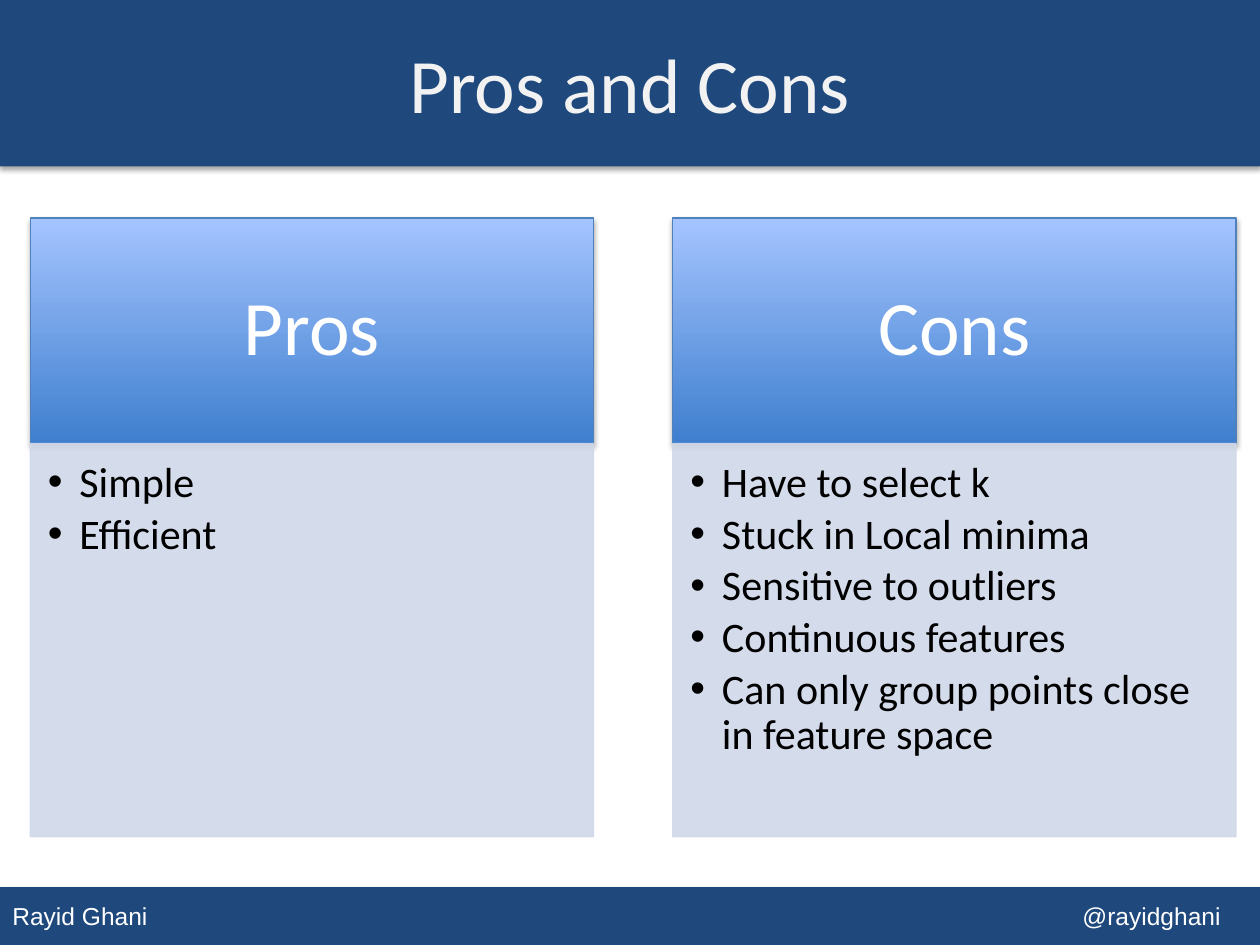
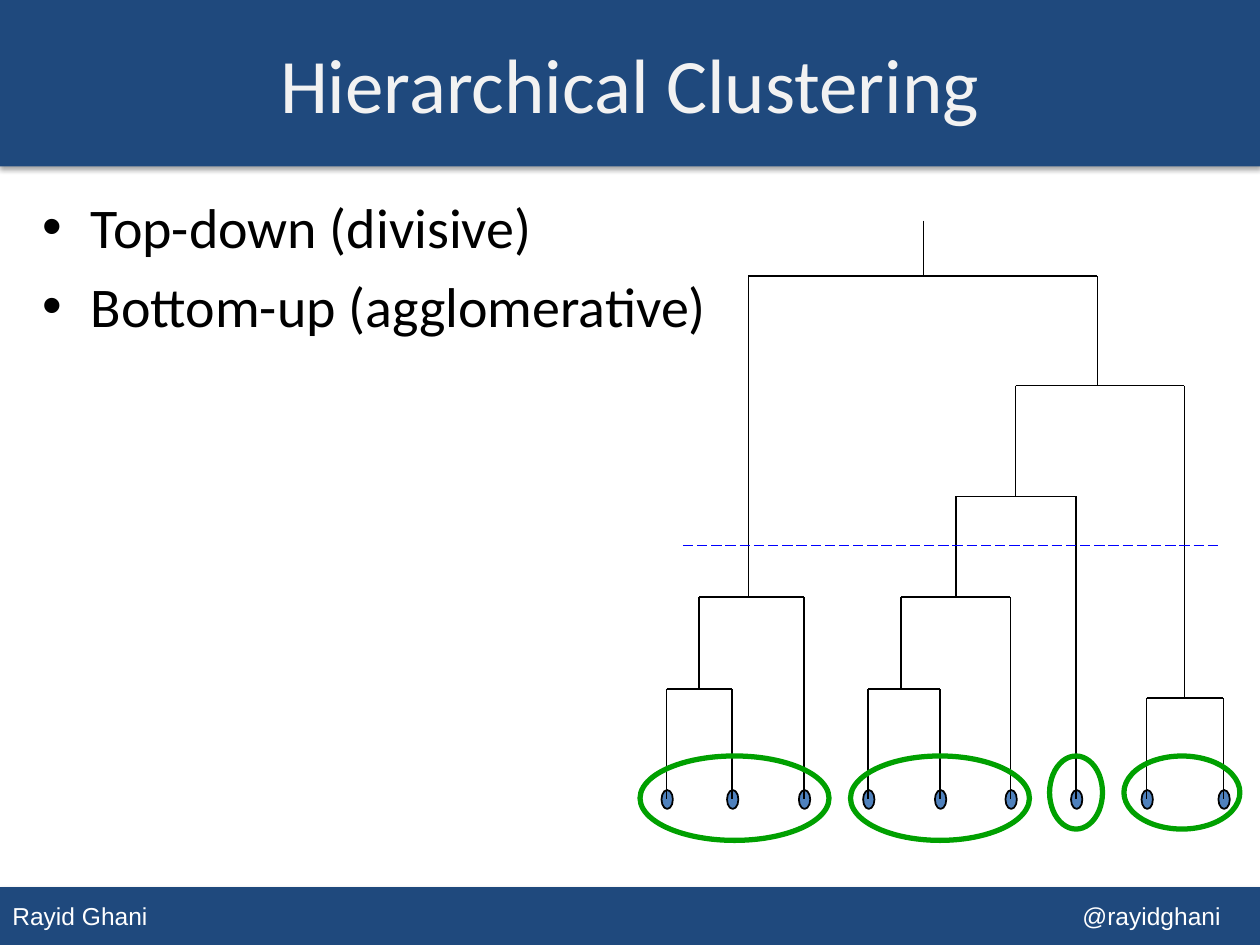
from lxml import etree
from pptx import Presentation
from pptx.dml.color import RGBColor
from pptx.enum.dml import MSO_LINE
from pptx.enum.shapes import MSO_CONNECTOR, MSO_SHAPE
from pptx.enum.text import MSO_ANCHOR, PP_ALIGN
from pptx.oxml.ns import qn
from pptx.util import Inches, Pt

RECT, OVAL = MSO_SHAPE.RECTANGLE, MSO_SHAPE.OVAL
STRAIGHT = MSO_CONNECTOR.STRAIGHT
TOP, MIDDLE = MSO_ANCHOR.TOP, MSO_ANCHOR.MIDDLE
LEFT, CENTER = PP_ALIGN.LEFT, PP_ALIGN.CENTER
LONG_DASH = MSO_LINE.LONG_DASH

COLORS = {
    "band": "1F497D", "title": "F2F2F2", "white": "FFFFFF", "black": "000000",
    "accent": "4F81BD", "head_bottom": "3F7FCE", "head_top": "A4C4FF",
    "panel": "D0D8E8", "cut": "0000FF", "cluster": "00A000",
}
FONT, FOOTER_FONT = "Calibri", "Arial"
TITLE_ONLY, TITLE_AND_CONTENT = 5, 1

LEAF_Y, ROOT_Y = 6.34, 1.75
LEAF_XS = [5.29, 5.81, 6.38, 6.89, 7.46, 8.02, 8.54, 9.1, 9.71]
# left child, right child, height of the bar, x of the stem above it;
# children number the leaves first, then the merges in order
MERGES = [
    (0, 1, 5.47, 5.55), (9, 2, 4.74, 5.94),
    (3, 4, 5.47, 7.15), (11, 5, 4.74, 7.59), (12, 6, 3.94, 8.06),
    (7, 8, 5.54, 9.4), (13, 14, 3.06, 8.71), (10, 15, 2.19, 7.33),
]
CLUSTERS = [(5.08, 1.5, 0.67), (6.75, 1.42, 0.67), (8.33, 0.42, 0.58), (8.92, 0.92, 0.58)]


def rgb(name):
    return RGBColor.from_string(COLORS[name])


def inches(*values):
    return [Inches(v) for v in values]


def place(sp, *box):
    sp.left, sp.top, sp.width, sp.height = inches(*box)


def add_run(p, text, size, color, font=FONT):
    r = p.add_run()
    r.text = text
    r.font.size, r.font.name = Pt(size), font
    r.font.color.rgb = rgb(color)


def add_shape(slide, kind, box, fill=None, line=None, width=0.75):
    sp = slide.shapes.add_shape(kind, *inches(*box))
    sp.shadow.inherit = False
    if fill:
        sp.fill.solid()
        sp.fill.fore_color.rgb = rgb(fill)
    else:
        sp.fill.background()
    if line:
        sp.line.color.rgb = rgb(line)
        sp.line.width = Pt(width)
    else:
        sp.line.fill.background()
    return sp


def add_line(slide, x1, y1, x2, y2, color="black", width=1, dash=None):
    line = slide.shapes.add_connector(STRAIGHT, *inches(x1, y1, x2, y2))
    line.line.color.rgb = rgb(color)
    line.line.width = Pt(width)
    if dash:
        line.line.dash_style = dash
    etree.SubElement(line.element.spPr, qn("a:effectLst"))


def set_alpha(color, percent):
    etree.SubElement(color, qn("a:alpha"), val=str(percent * 1000))


def add_shadow(sp):
    effects = sp.element.spPr.find(qn("a:effectLst"))
    shadow = etree.SubElement(effects, qn("a:outerShdw"), blurRad="40000",
                              dist="23000", dir="5400000", rotWithShape="0")
    set_alpha(etree.SubElement(shadow, qn("a:srgbClr"), val=COLORS["black"]), 35)


def set_bullet(p, indent):
    pPr = p._p.get_or_add_pPr()
    pPr.set("marL", str(Inches(indent)))
    pPr.set("indent", str(-Inches(indent)))
    etree.SubElement(pPr, qn("a:buFont"), typeface="Arial")
    etree.SubElement(pPr, qn("a:buChar"), char="•")


def set_frame(sp, anchor, *insets):
    tf = sp.text_frame
    tf.word_wrap = True
    tf.vertical_anchor = anchor
    tf.margin_left, tf.margin_top, tf.margin_right, tf.margin_bottom = inches(*insets)
    return tf


def add_master_bands(prs, slide):
    """Draw the title and footer bands and move them behind everything on the master."""
    header = add_shape(slide, RECT, (0, 0, 10, 1.32), "band")
    footer = add_shape(slide, RECT, (0, 7.04, 10, 0.46), "band")
    p = set_frame(footer, MIDDLE, 0.1, 0.05, 0.1, 0.05).paragraphs[0]
    p.alignment = LEFT
    add_run(p, "Rayid Ghani\t@rayidghani", 14, "white", FOOTER_FONT)
    tabs = etree.SubElement(p._p.get_or_add_pPr(), qn("a:tabLst"))
    etree.SubElement(tabs, qn("a:tab"), pos=str(Inches(9.59)), algn="r")
    for number, sp in enumerate((header, footer)):
        add_shadow(sp)
        sp.element.nvSpPr.cNvPr.set("id", str(100 + number))
        prs.slide_master.shapes.element.insert(2, sp.element)


def set_title(slide, text):
    title = slide.shapes.title
    place(title, 0, 0.03, 10, 1.25)
    title.text_frame.vertical_anchor = MIDDLE
    p = title.text_frame.paragraphs[0]
    p.alignment = CENTER
    add_run(p, text, 44, "title")


def add_column(slide, x, heading, items):
    """Gradient heading box above a bulleted panel."""
    width = 4.47
    head = add_shape(slide, RECT, (x, 1.73, width, 1.79), "accent", "accent")
    head.fill.gradient()
    head.fill.gradient_angle = 90
    for stop, color in zip(head.fill.gradient_stops, ("head_bottom", "head_top")):
        stop.color.rgb = rgb(color)
    add_shadow(head)
    p = set_frame(head, MIDDLE, 0.34, 0.2, 0.34, 0.2).paragraphs[0]
    p.alignment = CENTER
    p.line_spacing = 0.9
    add_run(p, heading, 44, "white")

    panel = add_shape(slide, RECT, (x, 3.52, width, 3.12), "panel", "panel")
    for color in list(panel.element.spPr.iter(qn("a:srgbClr"))):
        set_alpha(color, 90)
    tf = set_frame(panel, TOP, 0.14, 0.14, 0.19, 0.21)
    for i, item in enumerate(items):
        p = tf.add_paragraph() if i else tf.paragraphs[0]
        p.alignment = LEFT
        p.line_spacing = 0.9
        p.space_after = Pt(3.6)
        set_bullet(p, 0.25)
        add_run(p, item, 24, "black")


def fill_body(slide, items):
    body = slide.placeholders[1]
    place(body, 0.24, 1.48, 9.57, 5.42)
    tf = body.text_frame
    for i, item in enumerate(items):
        p = tf.add_paragraph() if i else tf.paragraphs[0]
        set_bullet(p, 0.38)
        add_run(p, item, 32, "black")


def add_dendrogram(slide):
    for x in LEAF_XS:
        add_shape(slide, OVAL, (x - 0.04, 6.27, 0.09, 0.15), "accent", "black", 1)
    nodes = [(x, LEAF_Y) for x in LEAF_XS]
    for left, right, y, stem_x in MERGES:
        for x, child_y in (nodes[left], nodes[right]):
            add_line(slide, x, y, x, child_y)
        add_line(slide, nodes[left][0], y, nodes[right][0], y)
        nodes.append((stem_x, y))
    root_x, top_y = nodes[-1]
    add_line(slide, root_x, ROOT_Y, root_x, top_y)


def add_clusters(slide):
    add_line(slide, 5.42, 4.33, 9.67, 4.33, "cut", 0.75, LONG_DASH)
    for x, width, height in CLUSTERS:
        add_shape(slide, OVAL, (x, 6, width, height), line="cluster", width=3)


def main():
    prs = Presentation()
    prs.slide_width, prs.slide_height = inches(10, 7.5)

    slide = prs.slides.add_slide(prs.slide_layouts[TITLE_ONLY])
    add_master_bands(prs, slide)
    set_title(slide, "Pros and Cons")
    add_column(slide, 0.24, "Pros", ["Simple", "Efficient"])
    add_column(slide, 5.34, "Cons", [
        "Have to select k", "Stuck in Local minima", "Sensitive to outliers",
        "Continuous features", "Can only group points close in feature space"])

    slide = prs.slides.add_slide(prs.slide_layouts[TITLE_AND_CONTENT])
    set_title(slide, "Hierarchical Clustering")
    fill_body(slide, ["Top-down (divisive)", "Bottom-up (agglomerative)"])
    add_dendrogram(slide)
    add_clusters(slide)

    prs.save("out.pptx")


if __name__ == "__main__":
    main()
